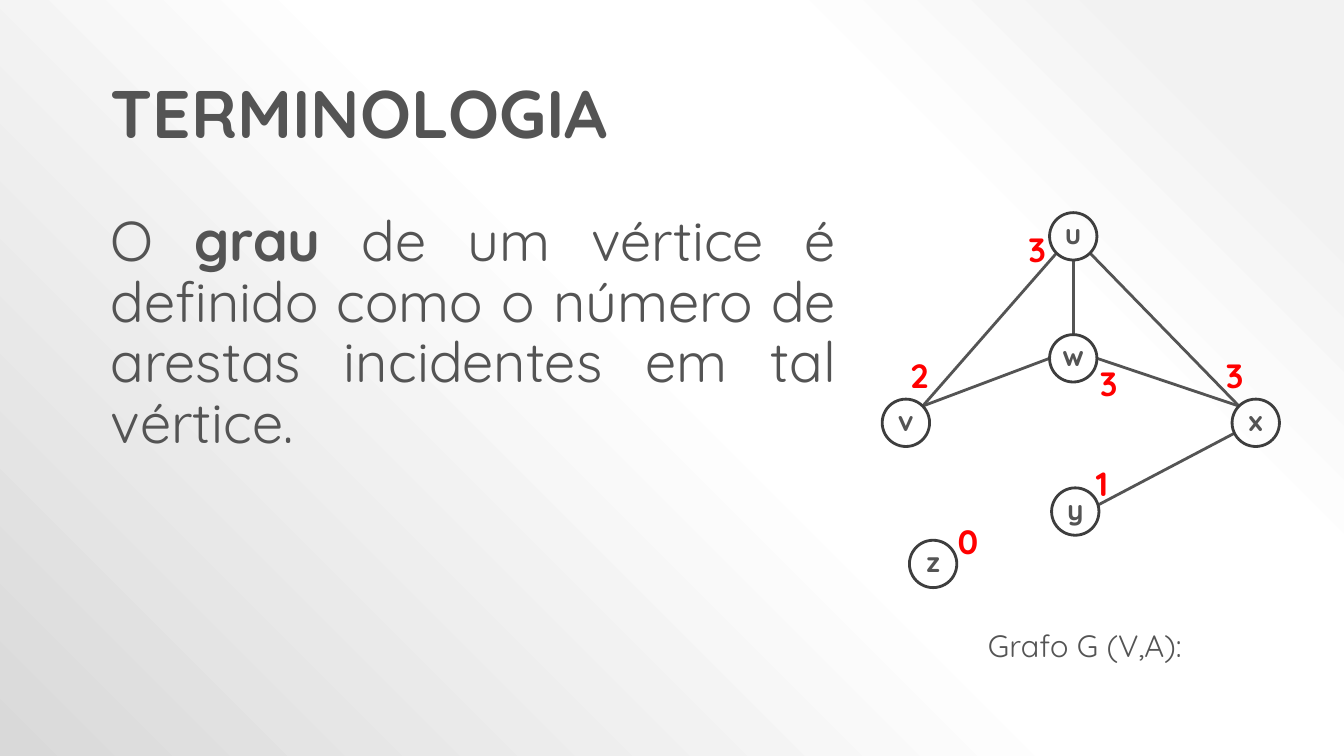
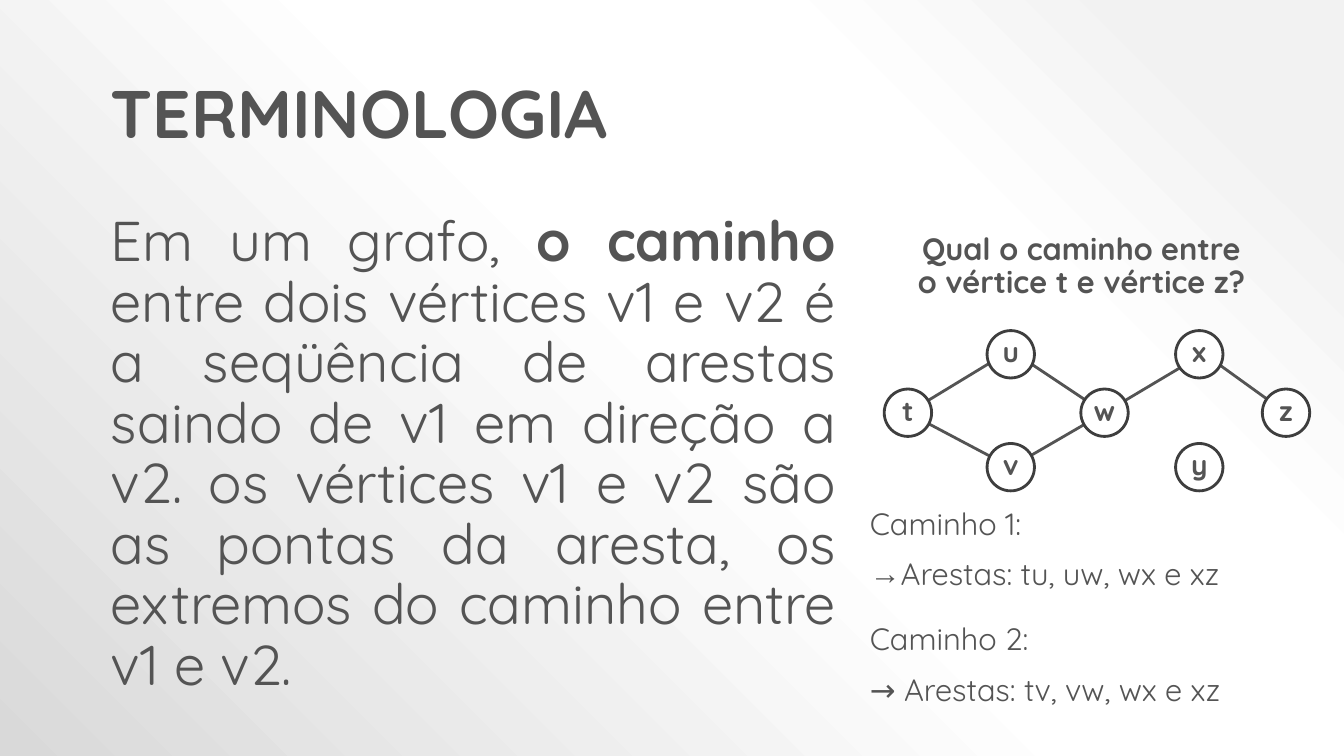
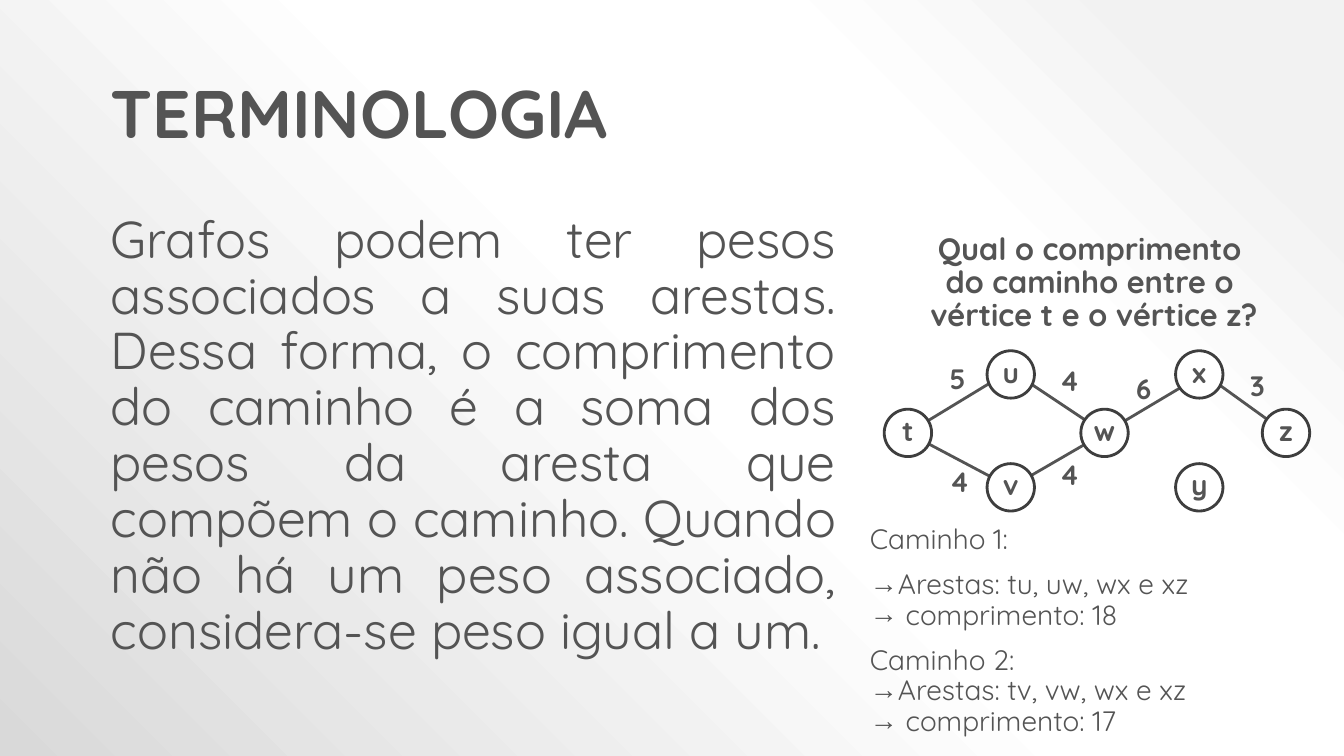
from math import cos, radians, sin

from pptx import Presentation
from pptx.dml.color import RGBColor
from pptx.enum.shapes import MSO_CONNECTOR, MSO_SHAPE
from pptx.enum.text import MSO_ANCHOR, MSO_AUTO_SIZE, PP_ALIGN
from pptx.oxml import parse_xml
from pptx.oxml.ns import nsdecls, qn
from pptx.util import Emu, Pt

STRAIGHT = MSO_CONNECTOR.STRAIGHT
OVAL = MSO_SHAPE.OVAL
MIDDLE = MSO_ANCHOR.MIDDLE
GROW = MSO_AUTO_SIZE.SHAPE_TO_FIT_TEXT
LEFT, CENTER, JUSTIFY = PP_ALIGN.LEFT, PP_ALIGN.CENTER, PP_ALIGN.JUSTIFY

FONT = "Quicksand"
GREY = RGBColor(0x54, 0x54, 0x54)
RING = RGBColor(0x3E, 0x3E, 0x3E)
WHITE = RGBColor(0xFF, 0xFF, 0xFF)
RED = RGBColor(0xFF, 0x00, 0x00)

SCALE = 9144  # EMU in one px, 100 px to the inch
SIZE = 47     # diameter of a vertex
STOPS = [(10, "F2F2F2"), (28, "FFFFFF"), (48, "FFFFFF"), (100, "D9D9D9")]

# Graph of slide 1: top left corner of each vertex, edges as (from, angle, to, angle)
DEGREE_SPOTS = {"u": (1041, 211), "v": (875, 396), "x": (1222, 396),
                "w": (1041, 332), "y": (1043, 484), "z": (902, 536)}
DEGREE_EDGES = [("v", -45, "u", 135), ("u", 45, "x", -135), ("u", 90, "w", -90),
                ("v", -45, "w", 180), ("x", -135, "w", 0), ("y", -16, "x", 154)]
DEGREES = [("2", 893, 352), ("3", 1081, 360), ("3", 1206, 352),
           ("3", 1010, 227), ("1", 1077, 459), ("0", 940, 516)]

# Graph of slides 2 and 3: edges as (from, to, lift at the upper vertex)
PATH_SPOTS = {"t": (877, 58), "u": (979, 0), "v": (979, 112), "w": (1072, 58),
              "x": (1166, 0), "y": (1166, 112), "z": (1252, 58)}
PATH_EDGES = [("t", "v", 0), ("w", "u", 4), ("w", "v", 0),
              ("w", "x", -2), ("z", "x", 4), ("t", "u", 4)]
WEIGHTS = [("5", 932, 358), ("4", 1041, 359), ("6", 1117, 367),
           ("3", 1230, 364), ("4", 932, 460), ("4", 1041, 453)]


def px(n):
    return Emu(round(n * SCALE))


def backdrop(master):
    """Give all slides the grey gradient."""
    master.background.fill.solid()
    old = next(master.element.iter(qn("a:solidFill")))
    stops = "".join(f'<a:gs pos="{at * 1000}"><a:srgbClr val="{tone}"/></a:gs>'
                    for at, tone in STOPS)
    new = parse_xml(
        f'<a:gradFill {nsdecls("a")} rotWithShape="1"><a:gsLst>{stops}</a:gsLst>'
        '<a:path path="circle"><a:fillToRect l="100000" b="100000"/></a:path>'
        '<a:tileRect t="-100000" r="-100000"/></a:gradFill>')
    old.getparent().replace(old, new)


def style(para, size, bold=False, color=GREY, align=LEFT, gap=0):
    para.alignment = align
    para.line_spacing = 0.9
    para.space_before = Pt(gap)
    for run in para.runs:
        font = run.font
        font.name, font.size, font.bold = FONT, Pt(size), bold
        font.color.rgb = color


def arrow(para):
    """Set an arrow as the bullet."""
    props = para._p.get_or_add_pPr()
    props.set("marL", "0")
    props.set("indent", "0")
    for tag in ('buFont {} typeface="Arial"', 'buChar {} char="→"'):
        props.append(parse_xml("<a:" + tag.format(nsdecls("a")) + "/>"))


def textbox(slide, left, top, width, height, wrap=True):
    box = slide.shapes.add_textbox(px(left), px(top), px(width), px(height))
    frame = box.text_frame
    frame.word_wrap = wrap
    return frame


def label(slide, text, left, top, width, height, size, wrap=True, **look):
    frame = textbox(slide, left, top, width, height, wrap)
    frame.auto_size = GROW
    frame.text = text
    for para in frame.paragraphs:
        style(para, size, **look)


def lesson(slide, parts, size=40):
    """Title and body text; every second part is bold."""
    frame = textbox(slide, 100, 75, 739, 675)
    frame.text = "TERMINOLOGIA"
    style(frame.paragraphs[0], 48, bold=True, align=JUSTIFY)
    body = frame.add_paragraph()
    for part in parts:
        body.add_run().text = part
    style(body, size, align=JUSTIFY, gap=43)
    for run in body.runs[1::2]:
        run.font.bold = True


def answer(slide, top, height, size, lines):
    """List of paths; each line is (text, gap before, bullet)."""
    frame = textbox(slide, 853, top, 446, height)
    frame.text = "\n".join(text for text, _, _ in lines)
    for para, (_, gap, bullet) in zip(frame.paragraphs, lines):
        style(para, size, gap=gap)
        if bullet:
            arrow(para)


def edge(slide, start, end):
    line = slide.shapes.add_connector(STRAIGHT, *map(px, start + end))
    line.line.color.rgb = GREY
    line.line.width = Pt(2)
    line.element.spPr.append(parse_xml(f'<a:effectLst {nsdecls("a")}/>'))


def vertex(slide, name, left, top, filled):
    disc = slide.shapes.add_shape(OVAL, px(left), px(top), px(SIZE), px(SIZE))
    disc.shadow.inherit = False
    if filled:
        disc.fill.solid()
        disc.fill.fore_color.rgb = WHITE
    else:
        disc.fill.background()
    disc.line.color.rgb = RING
    disc.line.width = Pt(2)
    frame = disc.text_frame
    frame.word_wrap = False
    frame.vertical_anchor = MIDDLE
    frame.margin_left = frame.margin_right = frame.margin_top = 0
    frame.margin_bottom = px(1)
    frame.text = name
    style(frame.paragraphs[0], 20, bold=True, align=CENTER)


def rim(spot, angle):
    """Point on the outline of a vertex, clockwise from the right."""
    half, turn = SIZE / 2, radians(angle)
    return spot[0] + half + half * cos(turn), spot[1] + half + half * sin(turn)


def degree_graph(slide):
    for start, out, end, into in DEGREE_EDGES:
        edge(slide, rim(DEGREE_SPOTS[start], out), rim(DEGREE_SPOTS[end], into))
    for name, spot in DEGREE_SPOTS.items():
        vertex(slide, name, *spot, filled=False)
    for text, left, top in DEGREES:
        label(slide, text, left, top, 39, 46, 24, wrap=False, bold=True, color=RED)


def path_graph(slide, top):
    half = SIZE / 2
    mids = {name: (x + half, top + y + half) for name, (x, y) in PATH_SPOTS.items()}
    for low, high, lift in PATH_EDGES:
        x, y = mids[high]
        edge(slide, mids[low], (x, y - lift))
    for name, (x, y) in PATH_SPOTS.items():
        vertex(slide, name, x, top + y, filled=True)


def degree_slide(slide):
    lesson(slide, ["O ", "grau", " de um vértice é definido como o número de "
                   "arestas incidentes em tal vértice."])
    degree_graph(slide)
    label(slide, "Grafo G (V,A):", 853, 621, 446, 43, 22, align=CENTER)


def path_slide(slide):
    lesson(slide, ["Em um grafo, ", "o caminho ",
                   "entre dois vértices v1 e v2 é a seqüência de arestas saindo de v1 "
                   "em direção a v2. os vértices v1 e v2 são as pontas da aresta, os "
                   "extremos do caminho entre v1 e v2."])
    path_graph(slide, 328)
    label(slide, "Qual o caminho entre o vértice t e vértice z?",
          893, 227, 359, 77, 22, bold=True, align=CENTER)
    answer(slide, 500, 210, 22, [
        ("Caminho 1:", 0, False),
        ("Arestas: tu, uw, wx e xz", 12, True),
        ("Caminho 2:", 23, False),
        ("→ Arestas: tv, vw, wx e xz", 12, False)])


def weight_slide(slide):
    lesson(slide, ["Grafos podem ter pesos associados a suas arestas. Dessa forma, o "
                   "comprimento do caminho é a soma dos pesos da aresta que compõem o "
                   "caminho. Quando não há um peso associado, considera-se peso igual "
                   "a um."], size=37)
    path_graph(slide, 348)
    label(slide, "Qual o comprimento \ndo caminho entre o \nvértice t e o vértice z?",
          870, 227, 430, 110, 22, bold=True, align=CENTER)
    answer(slide, 516, 230, 20, [
        ("Caminho 1:", 0, False),
        ("Arestas: tu, uw, wx e xz", 11, True),
        (" comprimento: 18", 0, True),
        ("Caminho 2:", 11, False),
        ("Arestas: tv, vw, wx e xz", 0, True),
        (" comprimento: 17", 0, True)])
    for text, left, top in WEIGHTS:
        label(slide, text, left, top, 39, 40, 20, bold=True)


def main():
    deck = Presentation()
    deck.slide_width, deck.slide_height = px(1333), px(750)
    backdrop(deck.slide_master)
    blank = deck.slide_layouts[6]
    for build in (degree_slide, path_slide, weight_slide):
        build(deck.slides.add_slide(blank))
    deck.save("out.pptx")


if __name__ == "__main__":
    main()
